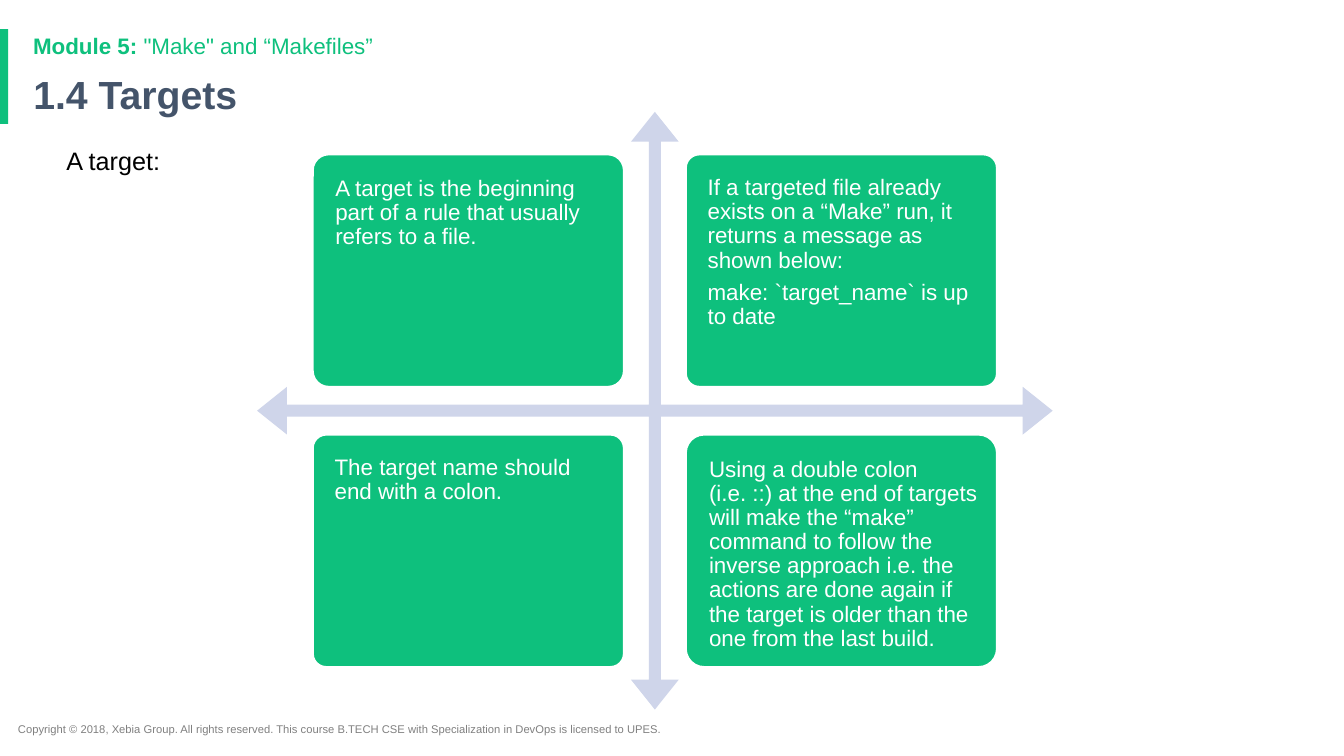
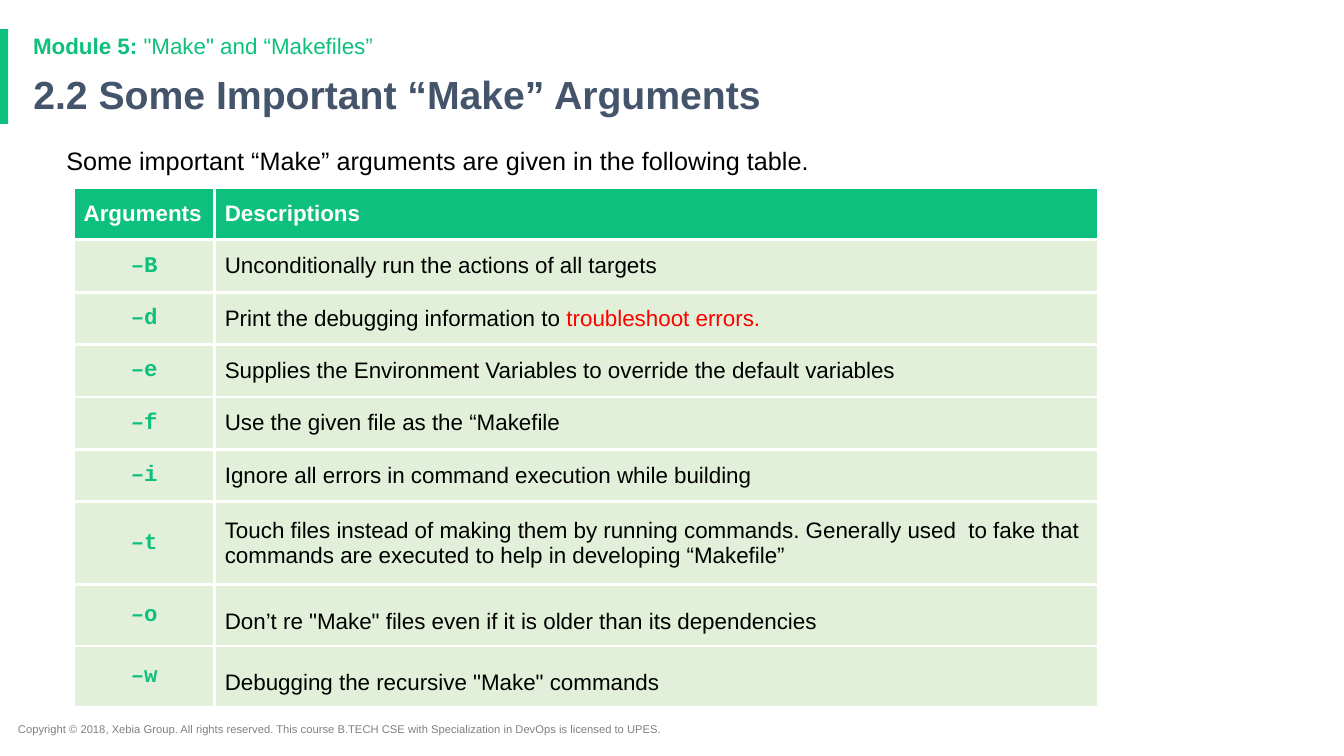
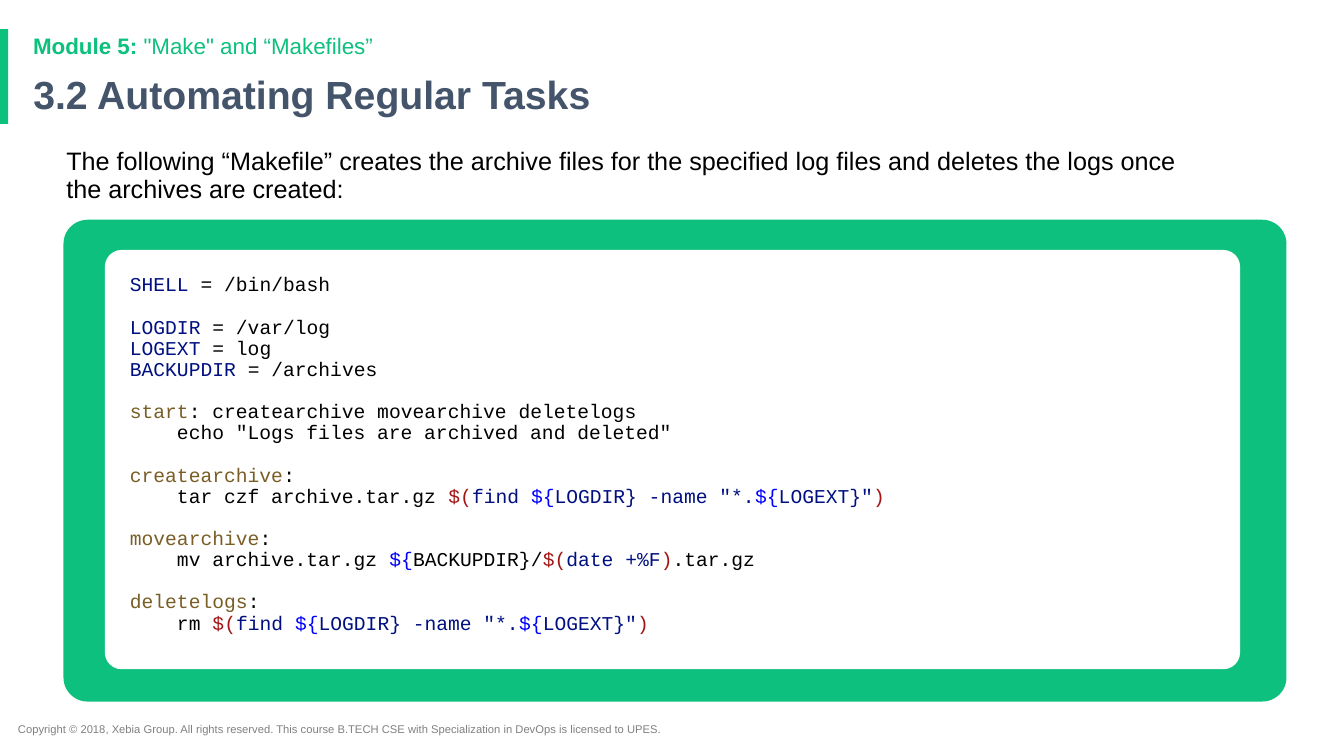
from copy import deepcopy

from lxml import etree
from pptx import Presentation
from pptx.dml.color import RGBColor
from pptx.enum.shapes import MSO_SHAPE
from pptx.enum.text import MSO_ANCHOR, MSO_AUTO_SIZE, PP_ALIGN
from pptx.oxml.ns import qn
from pptx.util import Inches, Pt

RECT, ROUNDED = MSO_SHAPE.RECTANGLE, MSO_SHAPE.ROUNDED_RECTANGLE
QUAD_ARROW = MSO_SHAPE.QUAD_ARROW
TOP, MIDDLE = MSO_ANCHOR.TOP, MSO_ANCHOR.MIDDLE
LEFT, CENTER = PP_ALIGN.LEFT, PP_ALIGN.CENTER

GREEN = RGBColor(0x0E, 0xC0, 0x7D)
SLATE = RGBColor(0x44, 0x54, 0x6A)
GRAY = RGBColor(0x80, 0x80, 0x80)
BLACK = RGBColor(0, 0, 0)
WHITE = RGBColor(255, 255, 255)
RED = RGBColor(255, 0, 0)
LAVENDER = RGBColor(0xCF, 0xD5, 0xEA)
PALE_GREEN = RGBColor(0xE2, 0xF0, 0xD9)
NAVY = RGBColor(0x00, 0x10, 0x80)
BROWN = RGBColor(0x79, 0x5E, 0x26)
MAROON = RGBColor(0xA3, 0x15, 0x15)
BLUE = RGBColor(0, 0, 255)
SANS, MONO = "Arial", "Courier New"

# Content
FOOTER = ("Copyright © 2018, Xebia Group. All rights reserved. This course "
          "B.TECH CSE with Specialization in DevOps is licensed to UPES.")
MODULE = ("Module 5:", " \"Make\" and “Makefiles”")

CARDS = [  # row by row: corner radius, paragraphs
    (0.08, ["A target is the beginning part of a rule that usually refers to a file."]),
    (0.07, ["If a targeted file already exists on a “Make” run, it returns a "
            "message as shown below:",
            "make: `target_name` is up to date"]),
    (0.07, ["The target name should end with a colon."]),
    (0.09, ["Using a double colon\n(i.e. ::) at the end of targets will make the "
            "“make” command to follow the inverse approach i.e. the actions are "
            "done again if the target is older than the one from the last build."]),
]

HEADERS = ("Arguments", "Descriptions")
ARGUMENTS = [  # flag, description, highlighted end, row height, line spacing
    ("–B", "Unconditionally run the actions of all targets", "", 0.52, 1),
    ("–d", "Print the debugging information to ", "troubleshoot errors.", 0.52, 1),
    ("–e", "Supplies the Environment Variables to override the default variables",
     "", 0.52, 1),
    ("–f", "Use the given file as the “Makefile", "", 0.52, 1),
    ("–i", "Ignore all errors in command execution while building", "", 0.52, 1),
    ("–t", "Touch files instead of making them by running commands. Generally "
     "used  to fake that commands are executed to help in developing “Makefile”",
     "", 0.82, 1),
    ("–o", "Don’t re \"Make\" files even if it is older than its dependencies",
     "", 0.61, 1.5),
    ("–w", "Debugging the recursive \"Make\" commands", "", 0.61, 1.5),
]

FIND_LOGS = [("$(", MAROON), ("find ", NAVY), ("${", BLUE),
             ("LOGDIR} -name \"*.", NAVY), ("${", BLUE), ("LOGEXT}\"", NAVY),
             (")", MAROON)]
CODE_BLOCKS = [  # blocks of lines of coloured tokens
    [[("SHELL", NAVY), (" = /bin/bash", BLACK)]],
    [[("LOGDIR", NAVY), (" = /var/log", BLACK)],
     [("LOGEXT", NAVY), (" = log", BLACK)],
     [("BACKUPDIR", NAVY), (" = /archives", BLACK)]],
    [[("start", BROWN), (": createarchive movearchive deletelogs", BLACK)],
     [("    echo \"Logs files are archived and deleted\"", BLACK)]],
    [[("createarchive", BROWN), (":", BLACK)],
     [("    tar czf archive.tar.gz ", BLACK)] + FIND_LOGS],
    [[("movearchive", BROWN), (":", BLACK)],
     [("    mv archive.tar.gz ", BLACK), ("${", BLUE), ("BACKUPDIR}/", BLACK),
      ("$(", MAROON), ("date +%F", NAVY), (")", MAROON), (".tar.gz", BLACK)]],
    [[("deletelogs", BROWN), (":", BLACK)],
     [("    rm ", BLACK)] + FIND_LOGS],
]


# Text and shape helpers
def style(r, size, color, bold=False, font=SANS):
    r.font.name, r.font.size, r.font.bold = font, Pt(size), bold
    r.font.color.rgb = color


def write(p, tokens, size, bold=False, font=SANS, spacing=0.9, align=LEFT):
    """Fill a paragraph with (text, colour) tokens."""
    p.alignment, p.line_spacing = align, spacing
    for text, color in tokens:
        r = p.add_run()
        r.text = text
        style(r, size, color, bold, font)


def set_frame(tf, insets=(0.1, 0.05, 0.1, 0.05), anchor=TOP):
    tf.word_wrap, tf.auto_size, tf.vertical_anchor = True, MSO_AUTO_SIZE.NONE, anchor
    tf.margin_left, tf.margin_top, tf.margin_right, tf.margin_bottom = map(Inches, insets)


def add_text(slide, box, tokens, size, spacing=0.9):
    tf = slide.shapes.add_textbox(*map(Inches, box)).text_frame
    set_frame(tf)
    write(tf.paragraphs[0], tokens, size, spacing=spacing)
    return tf.paragraphs[0]


def add_block(slide, kind, box, fill, adjustments=()):
    sp = slide.shapes.add_shape(kind, *map(Inches, box))
    sp.shadow.inherit = False
    sp.fill.solid()
    sp.fill.fore_color.rgb = fill
    sp.line.fill.background()
    for i, value in enumerate(adjustments):
        sp.adjustments[i] = value
    return sp


def add_slide(prs, title, intro):
    """Slide with accent band, footer, module line, title and intro."""
    slide = prs.slides.add_slide(prs.slide_layouts[5])
    add_block(slide, RECT, (0, 0.29, 0.08, 0.94), GREEN)
    add_text(slide, (0.08, 7.12, 7.13, 0.24), [(FOOTER, GRAY)], 8, 1)
    sp = slide.shapes.title
    sp.left, sp.top, sp.width, sp.height = map(Inches, (0.23, 0.69, 11.5, 0.54))
    set_frame(sp.text_frame, anchor=MIDDLE)
    write(sp.text_frame.paragraphs[0], [(title, SLATE)], 28, bold=True)
    module = add_text(slide, (0.23, 0.3, 11.5, 0.33), [(t, GREEN) for t in MODULE], 16)
    module.runs[0].font.bold = True
    add_text(slide, (0.56, 1.43, 11.24, 0.7), [(intro, BLACK)], 18)
    return slide


# Targets: four cards around a cross of arrows
def build_targets(prs):
    slide = add_slide(prs, "1.4 Targets", "A target:")
    add_block(slide, QUAD_ARROW, (2.55, 1.11, 7.89, 5.93), LAVENDER, (0.02, 0.04, 0.05))
    for i, (radius, paragraphs) in enumerate(CARDS):
        row, col = divmod(i, 2)
        box = (3.07 + col * 3.7, 1.5 + row * 2.78, 3.15, 2.37)
        sp = add_block(slide, ROUNDED, box, GREEN, [radius])
        sp.line.color.rgb, sp.line.width = WHITE, Pt(6)
        tf = sp.text_frame
        set_frame(tf, (0.2, 0.2, 0.14, 0.14))
        tf.text = paragraphs[0]
        for text in paragraphs[1:]:
            tf.add_paragraph().text = text
        if "\n" in paragraphs[0]:
            first, rest = paragraphs[0].split("\n")
            tf.paragraphs[0].text = first + "\v" + rest
            for extra in tf.paragraphs[1:]:
                extra._p.getparent().remove(extra._p)
        for p in tf.paragraphs:
            p.alignment, p.line_spacing, p.space_after = LEFT, 0.9, Pt(5.6)
            for r in p.runs:
                style(r, 16, WHITE)
            for br in p._p.findall(qn("a:br")):
                br.append(deepcopy(p.runs[0]._r.rPr))


# Arguments: table
def format_cell(cell, fill):
    cell.fill.solid()
    cell.fill.fore_color.rgb = fill
    cell.vertical_anchor = MIDDLE
    cell.margin_left = cell.margin_right = Inches(0.1)
    cell.margin_top = cell.margin_bottom = Inches(0.1)
    tcPr = cell._tc.get_or_add_tcPr()
    for i, side in enumerate(("a:lnL", "a:lnR", "a:lnT", "a:lnB")):
        ln = etree.Element(qn(side), w=str(Pt(2.25)))
        solid = etree.SubElement(ln, qn("a:solidFill"))
        etree.SubElement(solid, qn("a:srgbClr"), val=str(WHITE))
        tcPr.insert(i, ln)


def build_arguments(prs):
    slide = add_slide(prs, "2.2 Some Important “Make” Arguments",
                      "Some important “Make” arguments are given in the following table.")
    heights = [0.52] + [row[3] for row in ARGUMENTS]
    widths = (1.4, 8.76)
    table = slide.shapes.add_table(len(heights), len(widths), Inches(0.73), Inches(1.86),
                                   Inches(sum(widths)), Inches(sum(heights))).table
    for column, width in zip(table.columns, widths):
        column.width = Inches(width)
    for row, height in zip(table.rows, heights):
        row.height = Inches(height)
    for col, text in enumerate(HEADERS):
        cell = table.cell(0, col)
        format_cell(cell, GREEN)
        write(cell.text_frame.paragraphs[0], [(text, WHITE)], 16, bold=True, spacing=1)
    for i, (flag, text, highlight, _, spacing) in enumerate(ARGUMENTS, 1):
        name, description = table.cell(i, 0), table.cell(i, 1)
        format_cell(name, PALE_GREEN)
        format_cell(description, PALE_GREEN)
        write(name.text_frame.paragraphs[0], [(flag, GREEN)], 16, True, MONO, 1, CENTER)
        tokens = [(text, BLACK)] + ([(highlight, RED)] if highlight else [])
        write(description.text_frame.paragraphs[0], tokens, 16, spacing=spacing)


# Automation: code panel
def build_automation(prs):
    slide = add_slide(prs, "3.2 Automating Regular Tasks",
                      "The following “Makefile” creates the archive files for the specified "
                      "log files and deletes the logs once the archives are created:")
    add_block(slide, ROUNDED, (0.63, 2.18, 12.13, 4.78), GREEN, [0.05])
    panel = add_block(slide, ROUNDED, (1.04, 2.48, 11.26, 4.16), WHITE, [0.04])
    tf = panel.text_frame
    set_frame(tf, (0.2, 0.2, 0, 0))
    for b, block in enumerate(CODE_BLOCKS):
        for n, tokens in enumerate(block):
            p = tf.add_paragraph() if b or n else tf.paragraphs[0]
            write(p, tokens, 14, font=MONO)
            if b and n == 0:
                p.space_before = Pt(15)


def main():
    prs = Presentation()
    prs.slide_width, prs.slide_height = Inches(13.33), Inches(7.5)
    build_targets(prs)
    build_arguments(prs)
    build_automation(prs)
    prs.save("out.pptx")


if __name__ == "__main__":
    main()
